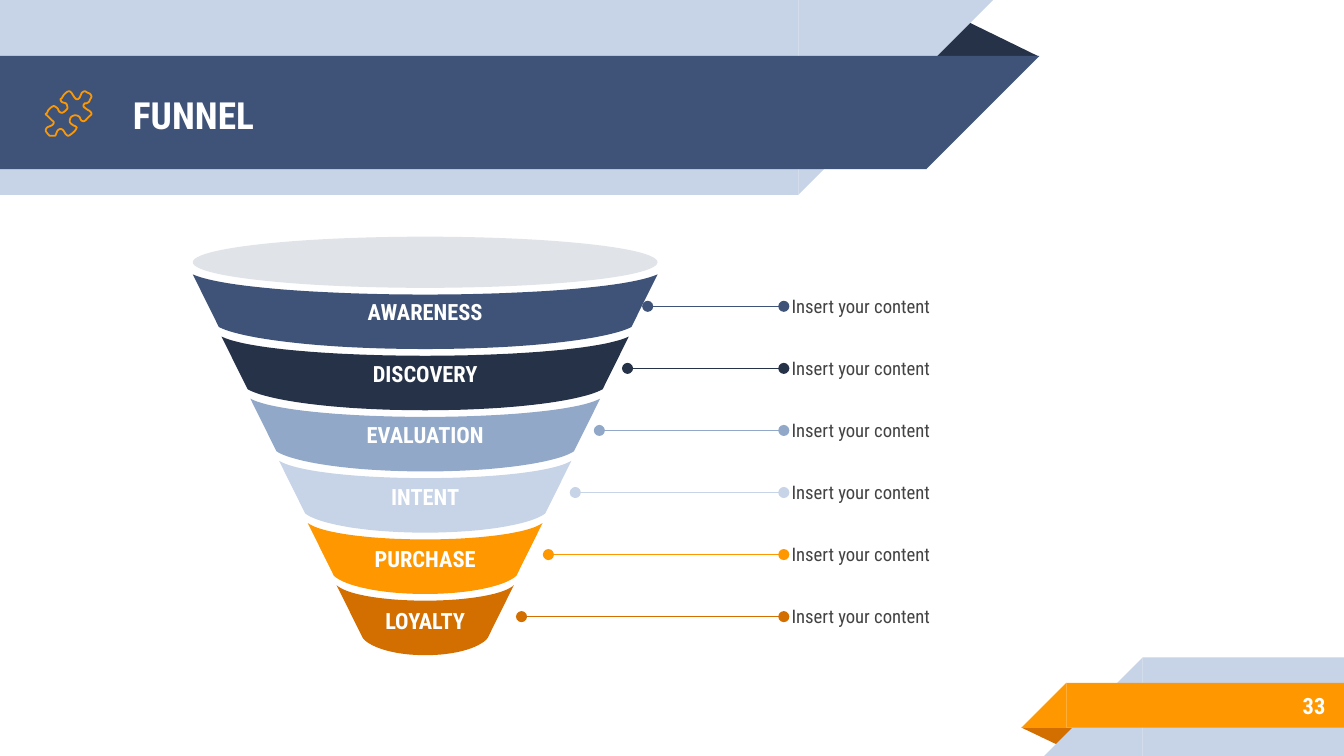
from lxml.etree import SubElement
from pptx import Presentation
from pptx.dml.color import RGBColor
from pptx.enum.shapes import MSO_CONNECTOR as Connector, MSO_SHAPE as Shape
from pptx.enum.text import MSO_ANCHOR as Anchor, PP_ALIGN as Align
from pptx.oxml.ns import qn
from pptx.util import Pt

FONT = "Roboto Condensed"
COLORS = {
    "navy": "3F5378", "dark": "263248", "steel": "92A8C8", "pale": "C7D3E6",
    "orange": "FF9800", "rust": "D26F00", "rim": "E0E4E9", "text": "434343", "white": "FFFFFF",
}
STAGES = [
    ("AWARENESS", "navy", 347), ("DISCOVERY", "dark", 336.2), ("EVALUATION", "steel", 321.1),
    ("INTENT", "pale", 308.2), ("PURCHASE", "orange", 293.8), ("LOYALTY", "rust", 279.4),
]
PUZZLE = [
    (30, 9), (32, 8), (33, 6), (34, 4), (33, 2), (31, 1), (29, 0), (27, 1), (26, 3), (25, 5),
    (23, 6), (21, 4), (19, 1), (17, 0), (14, 2), (12, 5), (11, 6), (12, 8), (15, 9), (16, 11),
    (16, 13), (14, 15), (12, 16), (10, 15), (9, 13), (8, 12), (6, 11), (4, 12), (2, 14), (1, 16),
    (0, 17), (1, 18), (4, 21), (6, 23), (5, 25), (3, 26), (1, 27), (0, 29), (1, 31), (3, 33),
    (5, 33), (7, 33), (8, 31), (9, 29), (11, 28), (13, 29), (15, 32), (17, 33), (20, 31), (22, 29),
    (23, 27), (22, 26), (20, 25), (18, 23), (18, 21), (19, 19), (21, 18), (23, 18), (25, 19),
    (26, 21), (27, 22), (29, 22), (32, 19), (34, 17), (33, 15), (30, 13), (28, 11), (29, 9),
]


def color(name):
    """Return the named colour."""
    return RGBColor.from_string(COLORS[name])


def paint(shape, name):
    """Give a shape a flat fill without line or shadow."""
    shape.shadow.inherit = False
    shape.fill.solid()
    shape.fill.fore_color.rgb = color(name)
    shape.line.fill.background()


def add_flat(slide, kind, box, name, rotation=0):
    """Add a flat preset shape."""
    shape = slide.shapes.add_shape(kind, *map(Pt, box))
    shape.rotation = rotation
    paint(shape, name)
    return shape


def write(shape, text, size, name, bold=True, align=Align.LEFT, insets=(7.2, 7.2)):
    """Write one formatted line, centred vertically in a shape."""
    frame = shape.text_frame
    frame.text = text
    frame.word_wrap = True
    frame.vertical_anchor = Anchor.MIDDLE
    frame.margin_left = frame.margin_right = Pt(insets[0])
    frame.margin_top = frame.margin_bottom = Pt(insets[1])
    paragraph = frame.paragraphs[0]
    paragraph.alignment = align
    font = paragraph.runs[0].font
    font.name, font.size, font.bold = FONT, Pt(size), bold
    font.color.rgb = color(name)


def curve(start, control_a, control_b, end, steps=24):
    """Return points along a cubic curve, without its start."""
    points = []
    for step in range(1, steps + 1):
        t = step / steps
        weights = ((1 - t) ** 3, 3 * t * (1 - t) ** 2, 3 * t * t * (1 - t), t ** 3)
        knots = (start, control_a, control_b, end)
        points.append(tuple(sum(w * k[axis] for w, k in zip(weights, knots)) for axis in (0, 1)))
    return points


def add_outline(slide, points):
    """Add a closed freeform through points."""
    corners = [(Pt(x), Pt(y)) for x, y in points]
    builder = slide.shapes.build_freeform(*corners[0])
    builder.add_line_segments(corners[1:], close=True)
    return builder.convert_to_shape()


def add_header(slide, box):
    """Add the title ribbon with its icon."""
    left, top, width, height = box
    fold = add_flat(slide, Shape.ISOSCELES_TRIANGLE, (left + 495.4, top + 10.1, 61.2, 20.2), "dark")
    fold.adjustments[0] = 0.324
    for offset, size, body, name in ((0, height, 427.7, "pale"), (30, 60.7, 496.1, "navy")):
        add_flat(slide, Shape.RECTANGLE, (left, top + offset, body, size), name)
        add_flat(slide, Shape.RIGHT_TRIANGLE, (left + body, top + offset, size, size), name, 90)
    title = slide.shapes.add_textbox(*map(Pt, (left + 64.1, top + 31, 414, 60.5)))
    write(title, "FUNNEL", 20, "white")
    add_icon(slide, (left + 24.5, top + 48.9, 24.5, 24.5))


def add_icon(slide, box):
    """Add the outlined puzzle piece."""
    left, top, width, height = box
    knots = [(left + x * width / 34, top + y * height / 34) for x, y in PUZZLE]
    points = []
    for index, start in enumerate(knots):
        before, end, after = (knots[(index + shift) % len(knots)] for shift in (-1, 1, 2))
        control_a = [s + (e - b) / 6 for s, e, b in zip(start, end, before)]
        control_b = [e - (a - s) / 6 for e, a, s in zip(end, after, start)]
        points += curve(start, control_a, control_b, end, 4)
    icon = add_outline(slide, points)
    icon.shadow.inherit = False
    icon.fill.background()
    icon.line.color.rgb = color("orange")
    icon.line.width = Pt(0.96)


def add_footer(slide, box):
    """Add the page number ribbon."""
    left, top, width, height = box
    fold = add_flat(slide, Shape.ISOSCELES_TRIANGLE, (left, top + 37.6, 31, 10), "rust", 180)
    fold.adjustments[0] = 0.324
    for offset, size, start, name in ((0, height, 12.1, "pale"), (13.7, 24, 0, "orange")):
        edge = left + start + size
        add_flat(slide, Shape.RECTANGLE, (edge, top + offset, left + width - edge, size), name)
        add_flat(slide, Shape.RIGHT_TRIANGLE, (edge - size, top + offset, size, size), name, 270)
    number = slide.shapes.add_textbox(*map(Pt, (left + 52.5, top + 13, 117.4, 25.2)))
    write(number, "33", 12, "white", align=Align.RIGHT)


def add_band(slide, center, top, half, height, lip):
    """Add one funnel band with curved top and bottom edges."""
    foot, drop = half - 14, 28.2
    depth = height - drop
    upper = curve((0, lip), (0.42 * half, lip), (0.87 * half, 0.67 * lip), (half, 0))
    lower = curve((foot, drop), (0.9 * foot, drop + depth / 2), (0.53 * foot, height), (0, height))
    side = [(0, lip)] + upper + [(foot, drop)] + lower
    mirrored = [(-x, y) for x, y in reversed(side[1:-1])]
    return add_outline(slide, [(center + x, top + y) for x, y in side + mirrored])


def add_funnel(slide, box):
    """Add the funnel bands and rim."""
    left, top, width, height = box
    for index, (label, name, _) in enumerate(STAGES):
        band = add_band(slide, left + width / 2, top + 20.2 + 33.3 * index,
                        width / 2 - 15.4 * index, 40 - 0.5 * index, 10.8 - 0.5 * index)
        paint(band, name)
        write(band, label, 12, "white", align=Align.CENTER, insets=(5, 2.9))
    add_flat(slide, Shape.OVAL, (left, top, width, 27.4), "rim")


def add_callouts(slide, box):
    """Add a dotted-end line and a caption for each stage."""
    left, top, width, height = box
    pitch = height / len(STAGES)
    for index, (_, name, start) in enumerate(STAGES):
        row = top + pitch * index
        ends = (start, row + 12.1, left - 4.2, row + 12.1)
        line = slide.shapes.add_connector(Connector.STRAIGHT, *map(Pt, ends))
        line.line.color.rgb = color(name)
        line.line.width = Pt(0.75)
        properties = line._element.spPr
        for end in ("a:headEnd", "a:tailEnd"):
            SubElement(properties.find(qn("a:ln")), qn(end), type="oval")
        SubElement(properties, qn("a:effectLst"))
        caption = slide.shapes.add_textbox(*map(Pt, (left, row, width, 23.8)))
        write(caption, "Insert your content", 10, "text", bold=False, insets=(0, 0))


def main():
    """Build and save the slide."""
    presentation = Presentation()
    presentation.slide_width, presentation.slide_height = Pt(720), Pt(405)
    slide = presentation.slides.add_slide(presentation.slide_layouts[6])
    add_header(slide, (0, 0, 557, 104.4))
    add_footer(slide, (547.2, 352.2, 172.8, 52.8))
    add_funnel(slide, (103.3, 126.8, 249, 224))
    add_callouts(slide, (424.1, 152, 192.2, 199.5))
    presentation.save("out.pptx")


if __name__ == "__main__":
    main()
